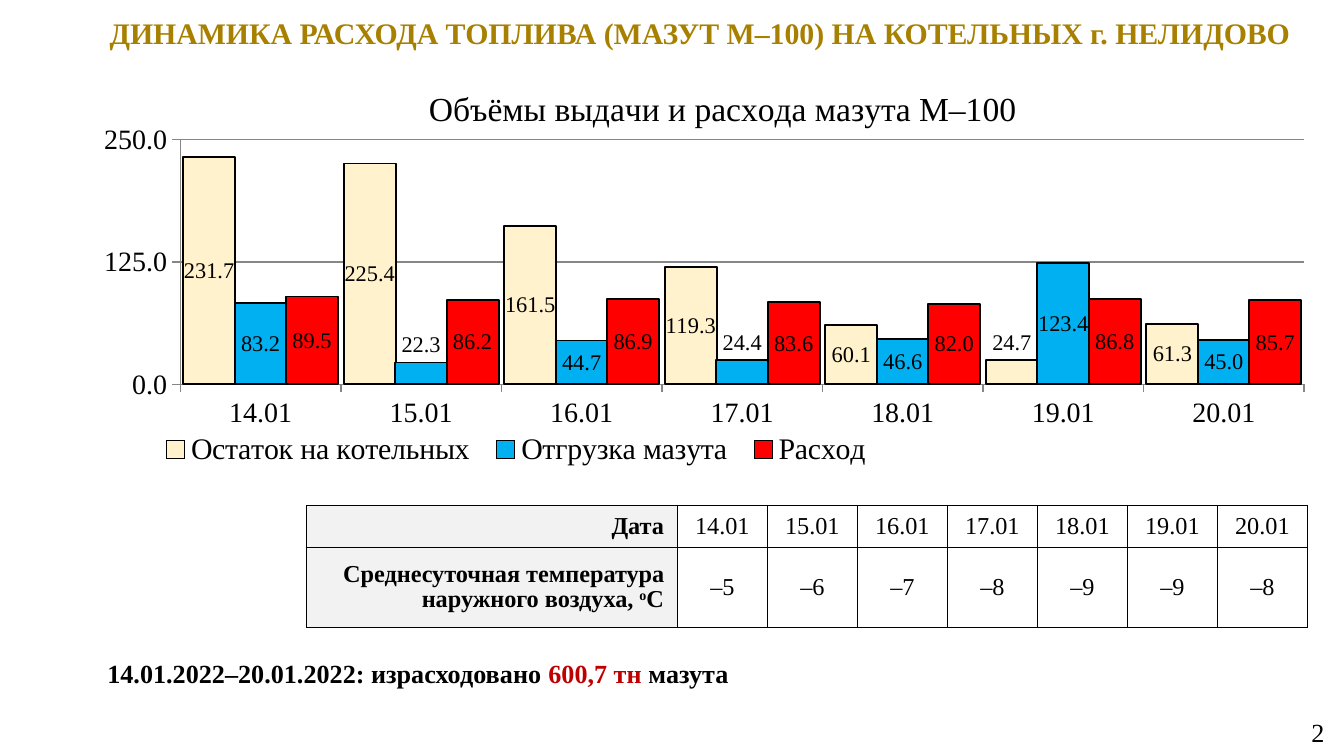
from lxml import etree
from pptx import Presentation
from pptx.chart.data import CategoryChartData
from pptx.dml.color import RGBColor
from pptx.enum.chart import XL_CHART_TYPE, XL_LABEL_POSITION, XL_LEGEND_POSITION, XL_TICK_MARK
from pptx.enum.text import MSO_ANCHOR, MSO_AUTO_SIZE, PP_ALIGN
from pptx.oxml.ns import qn
from pptx.util import Pt

SCALE = 4572
FONT = "Times New Roman"
BLACK = RGBColor(0x00, 0x00, 0x00)
WHITE = RGBColor(0xFF, 0xFF, 0xFF)
GRAY = RGBColor(0x86, 0x86, 0x86)
PALE = RGBColor(0xF2, 0xF2, 0xF2)
GOLD = RGBColor(0xA8, 0x80, 0x00)
DARK_RED = RGBColor(0xC0, 0x00, 0x00)
CREAM = RGBColor(0xFF, 0xF2, 0xCC)
BLUE = RGBColor(0x00, 0xB0, 0xF0)
RED = RGBColor(0xFF, 0x00, 0x00)

LEFT, CENTER, RIGHT = PP_ALIGN.LEFT, PP_ALIGN.CENTER, PP_ALIGN.RIGHT
MIDDLE = MSO_ANCHOR.MIDDLE
NO_AUTOFIT = MSO_AUTO_SIZE.NONE
COLUMNS = XL_CHART_TYPE.COLUMN_CLUSTERED
LABEL_CENTER = XL_LABEL_POSITION.CENTER
LABEL_ABOVE = XL_LABEL_POSITION.OUTSIDE_END
LEGEND_BOTTOM = XL_LEGEND_POSITION.BOTTOM
TICK_OUTSIDE = XL_TICK_MARK.OUTSIDE
TICK_NONE = XL_TICK_MARK.NONE

DATES = ["14.01", "15.01", "16.01", "17.01", "18.01", "19.01", "20.01"]
TEMPERATURES = ["–5", "–6", "–7", "–8", "–9", "–9", "–8"]
FUEL_SERIES = [
    ("Остаток на котельных", CREAM, [231.7, 225.4, 161.5, 119.3, 60.1, 24.7, 61.3], [5]),
    ("Отгрузка мазута", BLUE, [83.2, 22.3, 44.7, 24.4, 46.6, 123.4, 45.0], [1, 3]),
    ("Расход", RED, [89.5, 86.2, 86.9, 83.6, 82.0, 86.8, 85.7], []),
]


def px(*lengths):
    """Turn lengths in px into a list of EMU."""
    return [length * SCALE for length in lengths]


def style_font(font, size, color=BLACK, bold=False):
    """Set the face, size, colour and weight of a font."""
    font.name = FONT
    font.size = Pt(size)
    font.bold = bold
    font.color.rgb = color


def add_span(para, text, size, color=BLACK, bold=False):
    """Add one formatted run to a paragraph."""
    span = para.add_run()
    span.text = text
    style_font(span.font, size, color, bold)
    return span


def prepare_frame(frame, align):
    """Set up a text frame and return its first paragraph."""
    frame.word_wrap = True
    frame.auto_size = NO_AUTOFIT
    frame.vertical_anchor = MIDDLE
    frame.margin_left, frame.margin_right = px(20, 20)
    frame.margin_top, frame.margin_bottom = px(0, 0)
    para = frame.paragraphs[0]
    para.alignment = align
    return para


def add_title(page, text):
    """Fill and place the title placeholder."""
    title = page.shapes.title
    title.left, title.top, title.width, title.height = px(140, 9, 1804, 78)
    para = prepare_frame(title.text_frame, CENTER)
    title.text_frame.margin_left, title.text_frame.margin_right = px(10, 10)
    add_span(para, text, 16, GOLD, True)


def add_text(page, area, align, spans, bold=False):
    """Add a text box holding one line of coloured spans."""
    box = page.shapes.add_textbox(*px(*area))
    para = prepare_frame(box.text_frame, align)
    for text, color in spans:
        add_span(para, text, 14, color, bold)


def place_part(element, index, target=None, **percents):
    """Give a chart part a manual layout in percents of the chart."""
    for old in element.findall(qn("c:layout")):
        element.remove(old)
    layout = etree.Element(qn("c:layout"))
    manual = etree.SubElement(layout, qn("c:manualLayout"))
    if target:
        etree.SubElement(manual, qn("c:layoutTarget")).set("val", target)
    for mode in ("xMode", "yMode"):
        etree.SubElement(manual, qn(f"c:{mode}")).set("val", "edge")
    for key, value in percents.items():
        etree.SubElement(manual, qn(f"c:{key}")).set("val", f"{value / 100:.3f}")
    element.insert(index, layout)


def style_axis(axis):
    """Set the labels, ticks and line of an axis."""
    style_font(axis.tick_labels.font, 15)
    axis.major_tick_mark = TICK_OUTSIDE
    axis.minor_tick_mark = TICK_NONE
    axis.format.line.color.rgb = GRAY


def style_series(series, color, raised):
    """Colour a series and label it, with the raised points above their bars."""
    series.format.fill.solid()
    series.format.fill.fore_color.rgb = color
    series.format.line.color.rgb = BLACK
    series.format.line.width = Pt(1)
    series.invert_if_negative = False
    for index in raised:
        label = series.points[index].data_label
        style_font(label.font, 12)
        label.position = LABEL_ABOVE
    labels = series.data_labels
    labels.show_value = True
    labels.position = LABEL_CENTER
    labels.number_format = "0.0"
    labels.number_format_is_linked = False
    style_font(labels.font, 12)


def add_fuel_chart(page):
    """Add the column chart of fuel stock, delivery and use."""
    data = CategoryChartData(number_format="0.0")
    data.categories = DATES
    for name, _, values, _ in FUEL_SERIES:
        data.add_series(name, values)
    chart = page.shapes.add_chart(COLUMNS, *px(102, 122, 1850, 590), data).chart
    style_font(chart.font, 16)

    chart.has_title = True
    para = chart.chart_title.text_frame.paragraphs[0]
    add_span(para, "Объёмы выдачи и расхода мазута М–100", 18)
    chart.has_legend = True
    chart.legend.position = LEGEND_BOTTOM
    chart.legend.include_in_layout = False
    style_font(chart.legend.font, 16)

    style_axis(chart.category_axis)
    scale = chart.value_axis
    style_axis(scale)
    scale.minimum_scale, scale.maximum_scale, scale.major_unit = 0, 250, 125
    scale.tick_labels.number_format = "0.0"
    scale.tick_labels.number_format_is_linked = False
    scale.major_gridlines.format.line.color.rgb = GRAY

    plot = chart.plots[0]
    plot.gap_width, plot.overlap = 11, 1
    plot.vary_by_categories = False
    for series, (_, color, _, raised) in zip(plot.series, FUEL_SERIES):
        style_series(series, color, raised)

    place_part(chart.chart_title._element, 1, x=28.5, y=-0.5)
    place_part(chart.legend._element, 1, x=6.5, y=87.8, w=59, h=10)
    plot_area = chart._chartSpace.find(f".//{qn('c:plotArea')}")
    place_part(plot_area, 0, "inner", x=9, y=14.5, w=90.4, h=61.8)


def format_cell(cell, fill, align):
    """Border, fill and align a cell, and return its first paragraph."""
    properties = cell._tc.get_or_add_tcPr()
    for side in ("lnL", "lnR", "lnT", "lnB"):
        line = etree.SubElement(properties, qn(f"a:{side}"), w=str(Pt(0.5)))
        solid = etree.SubElement(line, qn("a:solidFill"))
        etree.SubElement(solid, qn("a:srgbClr"), val=str(BLACK))
    cell.fill.solid()
    cell.fill.fore_color.rgb = fill
    cell.vertical_anchor = MIDDLE
    para = cell.text_frame.paragraphs[0]
    para.alignment = align
    return para


def add_temperature_table(page):
    """Add the table of daily mean temperatures."""
    table = page.shapes.add_table(2, 8, *px(456, 752, 1490, 182)).table
    table.first_row = table.horz_banding = False
    for column, width in zip(table.columns, px(552, *[134] * 7)):
        column.width = width
    for row, height in zip(table.rows, px(63, 119)):
        row.height = height
    for row, values in enumerate((DATES, TEMPERATURES)):
        for column, value in enumerate(values, 1):
            add_span(format_cell(table.cell(row, column), WHITE, CENTER), value, 13)

    add_span(format_cell(table.cell(0, 0), PALE, RIGHT), "Дата", 13, bold=True)
    header = table.cell(1, 0)
    first = format_cell(header, PALE, RIGHT)
    add_span(first, "Среднесуточная температура", 13, bold=True)
    second = header.text_frame.add_paragraph()
    second.alignment = RIGHT
    first.line_spacing = second.line_spacing = 0.95
    add_span(second, "наружного воздуха, ", 13, bold=True)
    degree = add_span(second, "о", 13, bold=True)
    degree.font._element.set("baseline", "30000")
    add_span(second, "С", 13, bold=True)


def main():
    """Build the slide and save the deck."""
    deck = Presentation()
    deck.slide_width, deck.slide_height = px(2000, 1125)
    page = deck.slides.add_slide(deck.slide_layouts[5])
    add_title(page, "ДИНАМИКА РАСХОДА ТОПЛИВА (МАЗУТ М–100) НА КОТЕЛЬНЫХ г. НЕЛИДОВО")
    add_fuel_chart(page)
    add_temperature_table(page)
    summary = [("14.01.2022–20.01.2022: израсходовано ", BLACK), ("600,7 тн", DARK_RED), (" мазута", BLACK)]
    add_text(page, (140, 971, 1024, 62), LEFT, summary, bold=True)
    add_text(page, (1932, 1060, 56, 60), RIGHT, [("2", BLACK)])
    deck.save("out.pptx")


if __name__ == "__main__":
    main()
